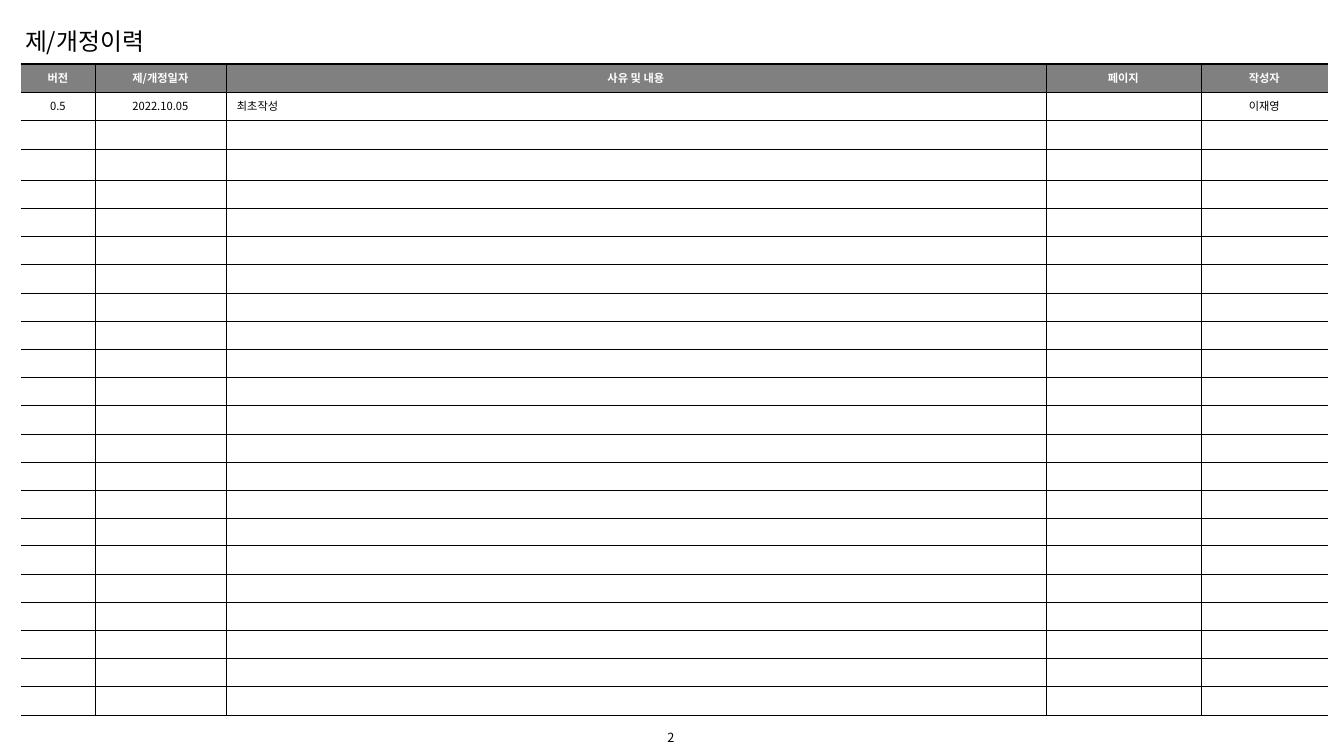
from dataclasses import dataclass

from lxml import etree
from pptx import Presentation
from pptx import util as u
from pptx.dml.color import RGBColor
from pptx.enum import text
from pptx.oxml import ns

PX = 914400 / 100.8
CENTER, LEFT = text.PP_ALIGN.CENTER, text.PP_ALIGN.LEFT


def px(n):
    return u.Emu(round(n * PX))


@dataclass(frozen=True)
class Theme:
    font: str = "Noto Sans CJK KR"
    ink: str = "000000"
    header_ink: str = "FFFFFF"
    header_fill: str = "808080"
    title: int = 17
    page: int = 9
    cell: int = 8
    rule: float = 0.25
    top_rule: float = 1


class SlideBuilder:
    """Draws text boxes and ruled tables on one slide in a shared theme."""

    def __init__(self, prs, theme):
        self.theme = theme
        self.s = prs.slides.add_slide(prs.slide_layouts[6])

    def run(self, p, content, size, color, bold=False):
        r = p.add_run()
        r.text = content
        r.font.name, r.font.size, r.font.bold = self.theme.font, u.Pt(size), bold
        r.font.color.rgb = RGBColor.from_string(color)
        ea = etree.SubElement(r.font._element, ns.qn("a:ea"))
        ea.set("typeface", self.theme.font)

    def textbox(self, box, content, size, align=LEFT, inset=0, spacing=1.0, grow=False):
        tf = self.s.shapes.add_textbox(*map(px, box)).text_frame
        tf.word_wrap = True
        tf.vertical_anchor = text.MSO_ANCHOR.MIDDLE
        tf.margin_left = tf.margin_right = tf.margin_top = tf.margin_bottom = px(inset)
        if grow:
            tf.auto_size = text.MSO_AUTO_SIZE.SHAPE_TO_FIT_TEXT
        p = tf.paragraphs[0]
        p.alignment, p.line_spacing = align, spacing
        self.run(p, content, size, self.theme.ink)

    def border(self, cell, side, width):
        ln = etree.SubElement(cell._tc.get_or_add_tcPr(), ns.qn(f"a:ln{side}"))
        if not width:
            etree.SubElement(ln, ns.qn("a:noFill"))
            return
        ln.set("w", str(u.Pt(width)))
        fill = etree.SubElement(ln, ns.qn("a:solidFill"))
        etree.SubElement(fill, ns.qn("a:srgbClr")).set("val", self.theme.ink)

    def cell(self, cell, content, align, header, borders):
        t = self.theme
        cell.vertical_anchor = text.MSO_ANCHOR.MIDDLE
        cell.margin_left = cell.margin_right = px(11)
        cell.margin_top = cell.margin_bottom = px(5)
        for side, width in borders.items():
            self.border(cell, side, width)
        if header:
            cell.fill.solid()
            cell.fill.fore_color.rgb = RGBColor.from_string(t.header_fill)
        else:
            cell.fill.background()
        p = cell.text_frame.paragraphs[0]
        p.alignment = align
        if content:
            self.run(p, content, t.cell, t.header_ink if header else t.ink, header)
        else:
            end = etree.SubElement(p._p, ns.qn("a:endParaRPr"))
            end.set("sz", str(t.cell * 100))

    def table(self, left, top, widths, heights, rows, aligns):
        t = self.theme
        box = map(px, (left, top, sum(widths), sum(heights)))
        table = self.s.shapes.add_table(len(heights), len(widths), *box).table
        table.first_row = table.horz_banding = False
        for column, width in zip(table.columns, widths):
            column.width = px(width)
        for i, height in enumerate(heights):
            table.rows[i].height = px(height)
            values = rows[i] if i < len(rows) else [""] * len(widths)
            for j, content in enumerate(values):
                borders = {
                    "L": t.rule if j else 0,
                    "R": t.rule if j < len(widths) - 1 else 0,
                    "T": t.rule if i else t.top_rule,
                    "B": t.rule,
                }
                align = aligns[j] if i else CENTER
                self.cell(table.cell(i, j), content, align, i == 0, borders)


def main():
    prs = Presentation()
    prs.slide_width, prs.slide_height = px(1344), px(756)
    theme = Theme()
    slide = SlideBuilder(prs, theme)

    slide.textbox((541, 725, 260, 25), "2", theme.page, CENTER)

    row_count, tall_row = 23, 3
    edges = [round(i * 28.2) for i in range(row_count + 1)]
    heights = [b - a for a, b in zip(edges, edges[1:])]
    heights[tall_row] = 31
    history = [
        ["버전", "제/개정일자", "사유 및 내용", "페이지", "작성자"],
        ["0.5", "2022.10.05", "최초작성", "", "이재영"],
    ]
    aligns = [CENTER, CENTER, LEFT, CENTER, CENTER]
    slide.table(21, 64, [74, 131, 820, 155, 127], heights, history, aligns)

    slide.textbox((21, 11, 228, 46), "제/개정이력", theme.title,
                  inset=4, spacing=1.5, grow=True)
    prs.save("out.pptx")


if __name__ == "__main__":
    main()
